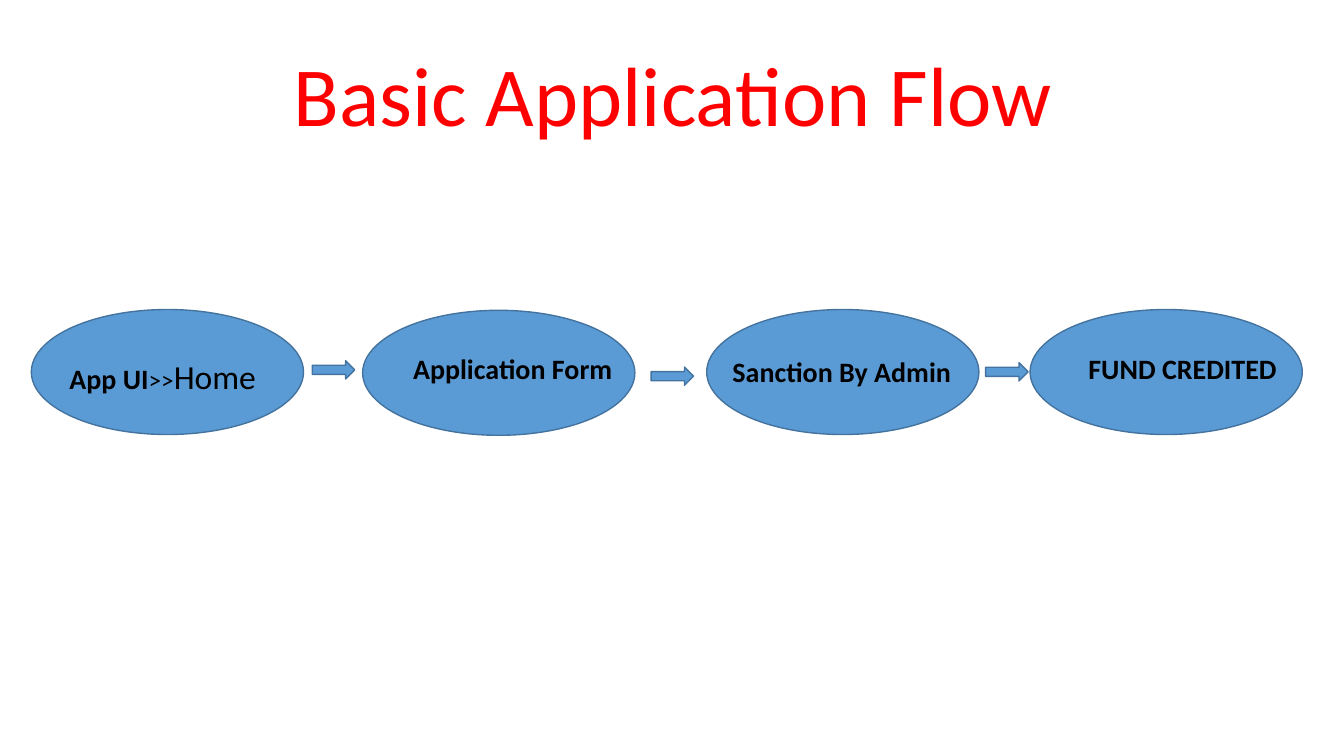
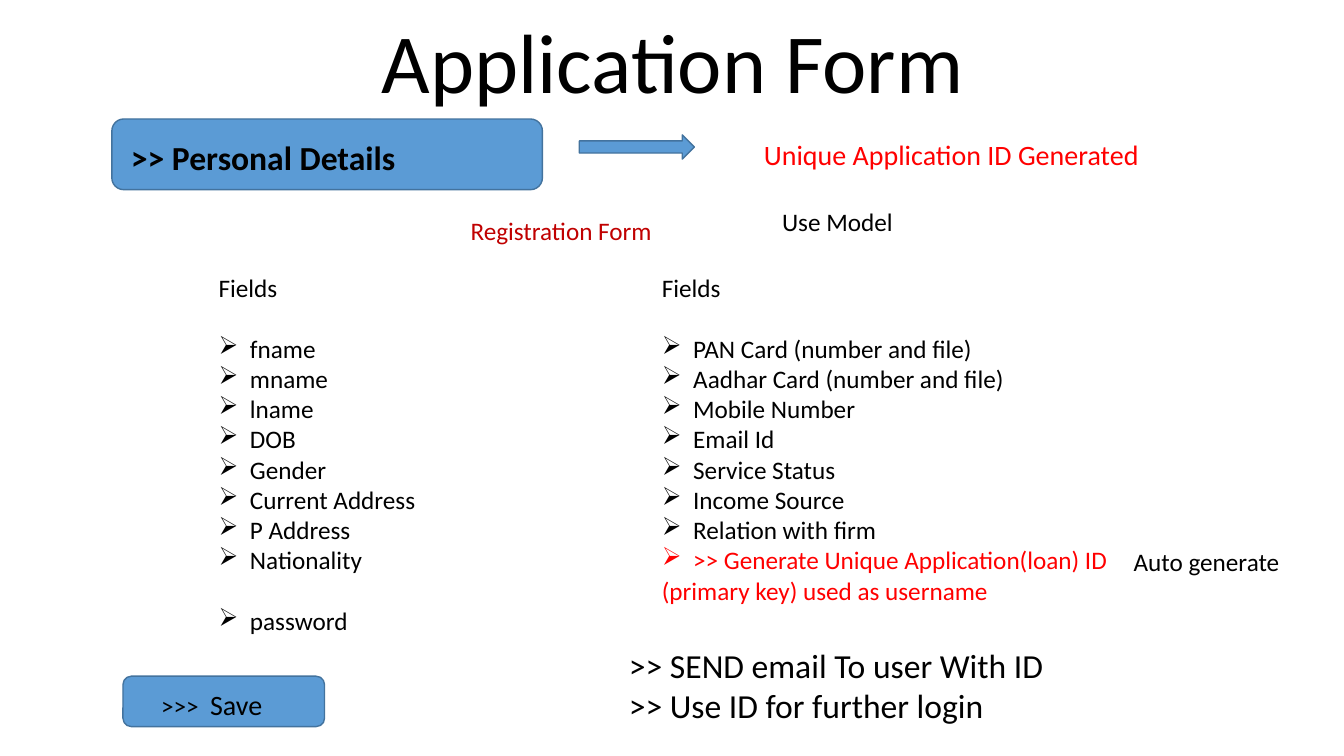
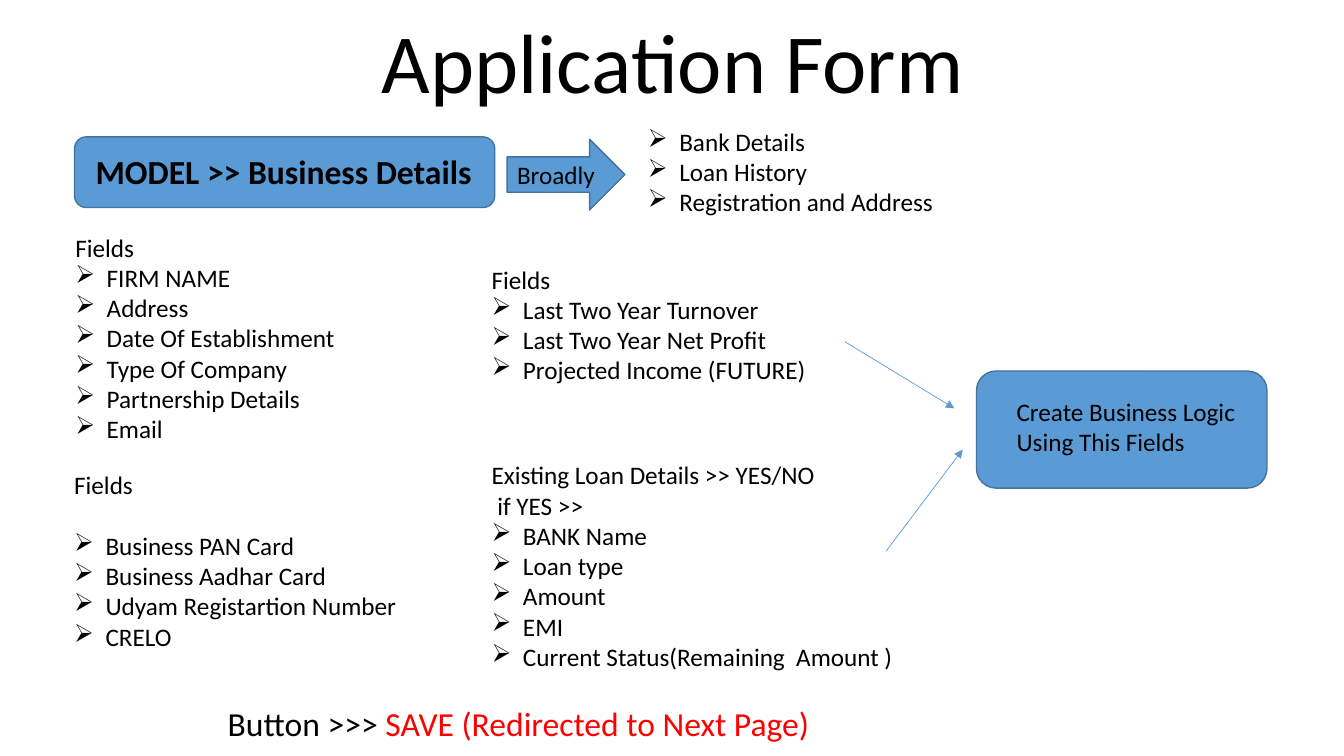
"""Build three slides that describe a loan application flow and its forms."""
import pptx
import pptx.dml.color
import pptx.enum.shapes
import pptx.enum.text
import pptx.oxml
import pptx.oxml.ns
import pptx.util
from lxml import etree

Cm = pptx.util.Cm
Pt = pptx.util.Pt
RGBColor = pptx.dml.color.RGBColor
MSO_SHAPE = pptx.enum.shapes.MSO_SHAPE
qn = pptx.oxml.ns.qn

BLACK = RGBColor(0, 0, 0)
WHITE = RGBColor(255, 255, 255)
RED = RGBColor(255, 0, 0)
DARK_RED = RGBColor(192, 0, 0)
BLUE = RGBColor(91, 155, 213)
EDGE = RGBColor(67, 115, 158)
FONT = "Calibri"
LINE_GAP = Pt(22)
INDENT = Cm(0.79)


def style_run(r, size, color=BLACK, bold=False):
    r.font.name = FONT
    r.font.size = Pt(size)
    r.font.color.rgb = color
    r.font.bold = bold


def add_run(p, text, size, color=BLACK):
    r = p.add_run()
    r.text = text
    style_run(r, size, color)


def add_text(s, x, y, w, h, text, size=18, color=BLACK, bold=False):
    tf = s.shapes.add_textbox(Cm(x), Cm(y), Cm(w), Cm(h)).text_frame
    tf.word_wrap = True
    tf.auto_size = pptx.enum.text.MSO_AUTO_SIZE.SHAPE_TO_FIT_TEXT
    tf.text = text
    for p in tf.paragraphs:
        for r in p.runs:
            style_run(r, size, color, bold)
    return tf


def add_bullet(p):
    pPr = p._p.get_or_add_pPr()
    pPr.set("marL", str(INDENT))
    pPr.set("indent", str(-INDENT))
    etree.SubElement(pPr, qn("a:buChar")).set("char", "➢")


def add_list(s, x, y, w, h, heads, items, spaced=()):
    tf = add_text(s, x, y, w, h, "\n".join(heads + items))
    for p in tf.paragraphs[len(heads):]:
        if p.text in spaced:
            p.space_before = LINE_GAP
        add_bullet(p)
    return tf


def add_block(s, kind, x, y, w, h):
    sp = s.shapes.add_shape(kind, Cm(x), Cm(y), Cm(w), Cm(h))
    sp.shadow.inherit = False
    sp.fill.solid()
    sp.fill.fore_color.rgb = BLUE
    sp.line.color.rgb = EDGE
    sp.line.width = Pt(1)


def add_thin_arrow(s, x1, y1, x2, y2):
    c = s.shapes.add_connector(pptx.enum.shapes.MSO_CONNECTOR.STRAIGHT,
                               Cm(x1), Cm(y1), Cm(x2), Cm(y2))
    c.line.color.rgb = BLUE
    c.line.width = Pt(0.5)
    ln = c.line._get_or_add_ln()
    etree.SubElement(ln, qn("a:tailEnd")).set("type", "triangle")
    etree.SubElement(c._element.spPr, qn("a:effectLst"))


def add_slide(prs, title, h, color=BLACK):
    s = prs.slides.add_slide(prs.slide_layouts[6])
    s.background.fill.solid()
    s.background.fill.fore_color.rgb = WHITE
    tf = add_text(s, 4.25, 0, 25.4, h, title, 60, color)
    tf.auto_size = pptx.enum.text.MSO_AUTO_SIZE.NONE
    tf.vertical_anchor = pptx.enum.text.MSO_ANCHOR.BOTTOM
    p = tf.paragraphs[0]
    p.alignment = pptx.enum.text.PP_ALIGN.CENTER
    p.line_spacing = 0.9
    return s


def flow_slide(prs):
    s = add_slide(prs, "Basic Application Flow", 3.78, RED)
    for x, y in ((0.79, 7.8), (9.14, 7.82), (17.81, 7.8), (25.96, 7.8)):
        add_block(s, MSO_SHAPE.OVAL, x, y, 6.86, 3.15)
    for x, y in ((7.87, 9.09), (16.41, 9.25), (24.84, 9.14)):
        add_block(s, MSO_SHAPE.RIGHT_ARROW, x, y, 1.07, 0.46)
    home = add_text(s, 1.5, 8.84, 6.32, 1.27, "App UI", 20, bold=True)
    add_run(home.paragraphs[0], ">>", 18)
    add_run(home.paragraphs[0], "Home", 24)
    for x, y, w, text in ((10.16, 8.74, 6.15, "Application Form"),
                          (18.21, 8.81, 6.83, "Sanction By Admin"),
                          (27.18, 8.74, 6.22, "FUND CREDITED")):
        add_text(s, x, y, w, 1.12, text, 20, bold=True)


def personal_slide(prs):
    s = add_slide(prs, "Application Form", 2.95)
    add_block(s, MSO_SHAPE.ROUNDED_RECTANGLE, 2.82, 3, 10.85, 1.78)
    add_text(s, 3.05, 3.33, 11.15, 1.27, ">> Personal Details", 24, bold=True)
    add_block(s, MSO_SHAPE.RIGHT_ARROW, 14.6, 3.4, 2.9, 0.61)
    add_text(s, 19, 3.33, 10.36, 1.12, "Unique Application ID Generated", 20, RED)
    add_text(s, 11.61, 5.31, 8.69, 1.8, "Registration Form", color=DARK_RED)
    add_text(s, 19.46, 5.08, 7.21, 1.02, "Use Model")
    add_list(s, 5.26, 6.73, 11.43, 10.26, ["Fields"],
             ["fname", "mname", "lname", "DOB", "Gender", "Current Address",
              "P Address", "Nationality", "password"], ("fname", "password"))
    tf = add_list(s, 16.43, 6.73, 13.72, 10.26, ["Fields"],
                  ["PAN Card (number and file)", "Aadhar Card (number and file)",
                   "Mobile Number", "Email Id", "Service Status", "Income Source",
                   "Relation with firm", ">> Generate Unique Application(loan) ID"],
                  ("PAN Card (number and file)",))
    tf.paragraphs[-1].runs[0].font.color.rgb = RED
    add_run(tf.add_paragraph(), "(primary key) used as username", 18, RED)
    add_text(s, 28.32, 13.64, 4.83, 1.02, "Auto generate")
    add_text(s, 15.6, 16.13, 14.45, 2.31,
             ">> SEND email To user With ID\n>> Use ID for further login", 24)
    add_block(s, MSO_SHAPE.ROUNDED_RECTANGLE, 3.1, 17.04, 5.08, 1.27)
    save = add_text(s, 3.81, 17.2, 3.96, 1.12, ">>>  ")
    add_run(save.paragraphs[0], "Save", 20)


def business_slide(prs):
    s = add_slide(prs, "Application Form", 2.95)
    add_block(s, MSO_SHAPE.ROUNDED_RECTANGLE, 1.88, 3.45, 10.59, 1.78)
    add_text(s, 2.16, 3.68, 10.29, 1.27, "MODEL >> Business Details", 24, bold=True)
    add_block(s, MSO_SHAPE.RIGHT_ARROW, 12.78, 3.51, 2.97, 1.78)
    add_text(s, 12.78, 3.89, 3.2, 1.02, "Broadly")
    add_list(s, 16.08, 3.05, 8.79, 2.57, [],
             ["Bank Details", "Loan History", "Registration and Address"])
    add_list(s, 1.65, 5.72, 7.14, 7.19, ["Fields"],
             ["FIRM NAME", "Address", "Date Of Establishment", "Type Of Company",
              "Partnership Details", "Email"])
    add_list(s, 1.62, 11.7, 9.37, 7.19, ["Fields"],
             ["Business PAN Card", "Business Aadhar Card",
              "Udyam Registartion Number", "CRELO"], ("Business PAN Card",))
    add_list(s, 12.14, 6.53, 12.73, 5.64, ["Fields"],
             ["Last Two Year Turnover", "Last Two Year Net Profit",
              "Projected Income (FUTURE)"])
    add_list(s, 12.14, 11.46, 14.33, 7.95,
             ["Existing Loan Details >> YES/NO", " if YES >>"],
             ["BANK Name", "Loan type", "Amount", "EMI",
              "Current Status(Remaining  Amount )"])
    add_thin_arrow(s, 21.29, 8.61, 24.05, 10.29)
    add_thin_arrow(s, 22.33, 13.89, 24.26, 11.33)
    add_block(s, MSO_SHAPE.ROUNDED_RECTANGLE, 24.61, 9.35, 7.32, 2.95)
    add_text(s, 25.37, 9.86, 6.07, 2.57, "Create Business Logic Using This Fields")
    button = add_text(s, 5.49, 17.58, 21.64, 1.27, "Button >>> ", 24)
    add_run(button.paragraphs[0], "SAVE (Redirected to Next Page)", 24, RED)


def main():
    prs = pptx.Presentation()
    prs.slide_width = Cm(33.87)
    prs.slide_height = Cm(19.05)
    flow_slide(prs)
    personal_slide(prs)
    business_slide(prs)
    prs.save("out.pptx")


if __name__ == "__main__":
    main()
